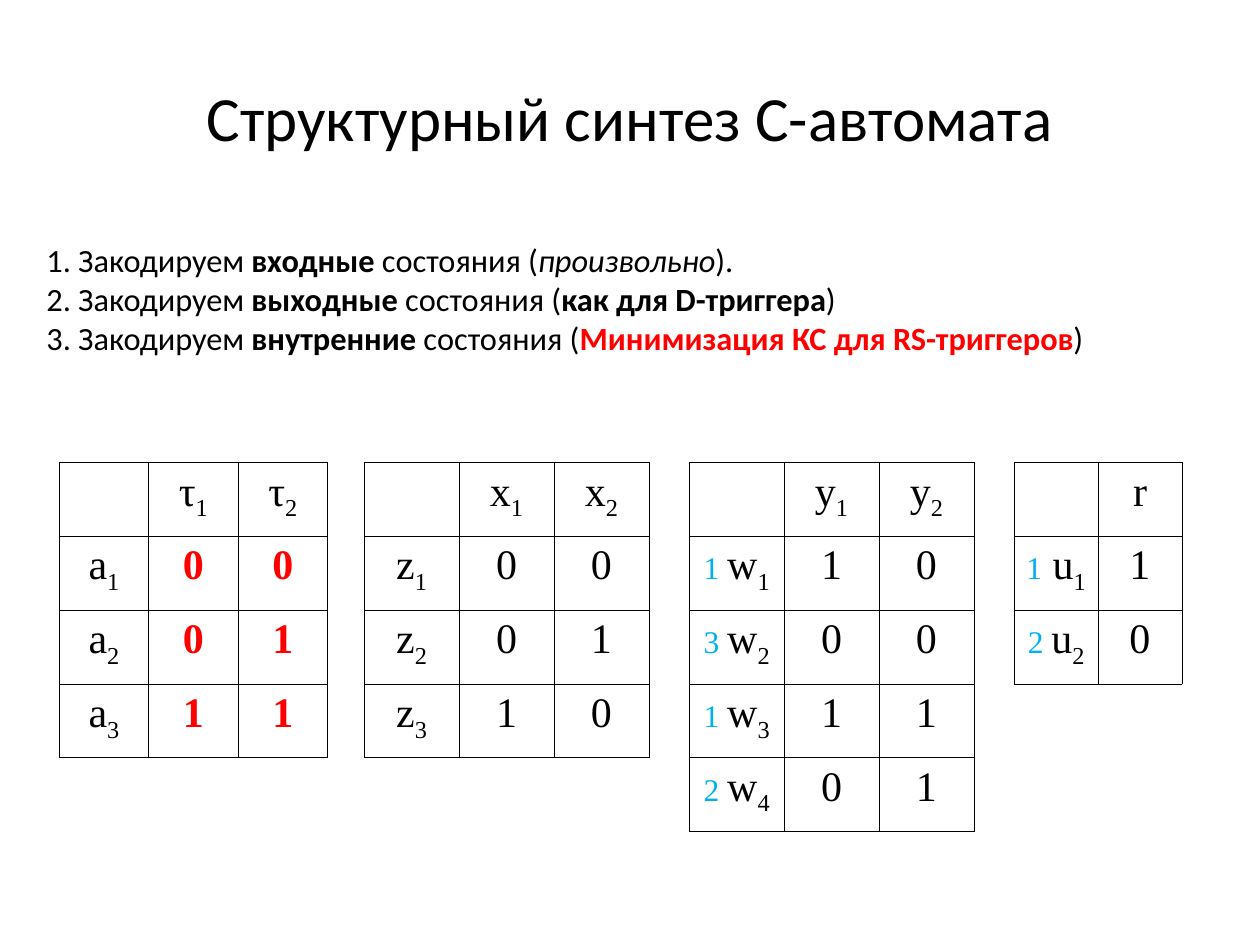
"""Build the slide on state encoding for the structural synthesis of a C-automaton."""
import pptx
import pptx.dml.color
import pptx.enum.text
import pptx.oxml
import pptx.oxml.ns
import pptx.util

Inches = pptx.util.Inches
Pt = pptx.util.Pt
ALIGN = pptx.enum.text.PP_ALIGN
ANCHOR = pptx.enum.text.MSO_ANCHOR
INK = {"black": "000000", "red": "FF0000", "blue": "00B0F0"}


def write(para, text, font="Times New Roman", size=24, color="black", bold=False, italic=False, sub=False):
    run = para.add_run()
    run.text = text
    run.font.name = font
    run.font.size = Pt(size)
    run.font.bold = bold
    run.font.italic = italic
    run.font.color.rgb = pptx.dml.color.RGBColor.from_string(INK[color])
    if sub:
        run.font._element.set("baseline", "-25000")


def outline(cell):
    props = cell._tc.get_or_add_tcPr()
    for side in "LRTB":
        props.append(pptx.oxml.parse_xml(
            f'<a:ln{side} {pptx.oxml.ns.nsdecls("a")} w="{Pt(0.45)}"><a:solidFill>'
            f'<a:srgbClr val="{INK["black"]}"/></a:solidFill></a:ln{side}>'))
    cell.fill.background()


deck = pptx.Presentation()
deck.slide_width = Inches(10)
deck.slide_height = Inches(7.5)
slide = deck.slides.add_slide(deck.slide_layouts[6])

title = slide.shapes.add_textbox(Inches(0.5), Inches(0.3), Inches(9), Inches(1.25)).text_frame
title.word_wrap = True
title.vertical_anchor = ANCHOR.MIDDLE
title.paragraphs[0].alignment = ALIGN.CENTER
write(title.paragraphs[0], "Структурный синтез С-автомата", font="Calibri", size=36)

steps = [
    ("входные", "произвольно", {"italic": True}, ")."),
    ("выходные", "как для D-триггера", {"bold": True}, ")"),
    ("внутренние", "Минимизация КС для RS-триггеров", {"bold": True, "color": "red"}, ")"),
]
body = slide.shapes.add_textbox(Inches(0.27), Inches(1.86), Inches(9.23), Inches(1.06)).text_frame
body.word_wrap = True
for num, (kind, note, look, end) in enumerate(steps, 1):
    para = body.paragraphs[0] if num == 1 else body.add_paragraph()
    props = para._p.get_or_add_pPr()
    props.set("marL", str(Inches(0.38)))
    props.set("indent", str(-Inches(0.38)))
    parts = [(f"{num}. Закодируем ", {}), (kind, {"bold": True}), (" состояния (", {}), (note, look), (end, {})]
    for text, style in parts:
        write(para, text, font="Calibri", size=18.5, **style)

tables = [
    (0.47, 2.13, {"color": "red", "bold": True}, [
        ["", "τ_1", "τ_2"], ["а_1", "0", "0"], ["a_2", "0", "1"], ["a_3", "1", "1"]]),
    (2.89, 2.26, {}, [
        ["", "x_1", "x_2"], ["z_1", "0", "0"], ["z_2", "0", "1"], ["z_3", "1", "0"]]),
    (5.47, 2.26, {}, [
        ["", "y_1", "y_2"], ["1 |w_1", "1", "0"], ["3 |w_2", "0", "0"],
        ["1 |w_3", "1", "1"], ["2 |w_4", "0", "1"]]),
    (8.05, 1.33, {}, [["", "r"], ["1| u_1", "1"], ["2 |u_2", "0"]]),
]
high = Inches(2.93) // 5
for left, width, look, rows in tables:
    count = len(rows[0])
    grid = slide.shapes.add_table(
        len(rows), count, Inches(left), Inches(3.67), Inches(width), high * len(rows)).table
    grid.first_row = False
    grid.horz_banding = False
    for col in grid.columns:
        col.width = Inches(width) // count
    for r, row in enumerate(rows):
        grid.rows[r].height = high
        for c, text in enumerate(row):
            cell = grid.cell(r, c)
            outline(cell)
            cell.margin_left = cell.margin_right = Inches(0.07)
            cell.margin_top = cell.margin_bottom = Inches(0.05)
            para = cell.text_frame.paragraphs[0]
            para.alignment = ALIGN.CENTER
            mark, _, name = text.rpartition("|")
            base, _, index = name.partition("_")
            if mark:
                write(para, mark, size=18, color="blue")
            if base:
                write(para, base, **(look if r and c else {}))
            if index:
                write(para, index, sub=True)

deck.save("out.pptx")
